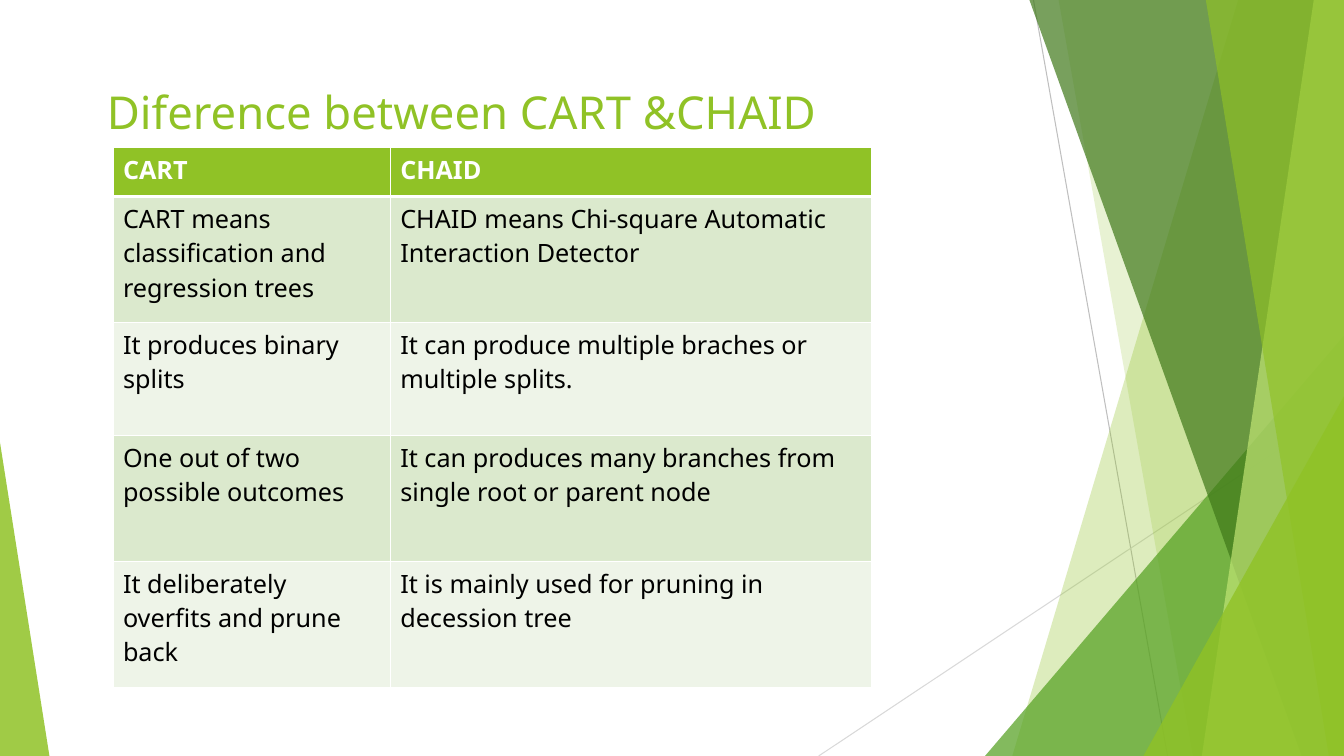
from typing import NamedTuple

from lxml import etree
from pptx import Presentation
from pptx.dml.color import RGBColor
from pptx.enum import shapes, text
from pptx.oxml import ns
from pptx.util import Inches, Pt

FONT = "Noto Sans"
WIDTH, HEIGHT = 13.33, 7.5
COLORS = {
    "green": "90C226",
    "leaf": "54A021",
    "forest": "3F7819",
    "lime": "C0E474",
    "row_odd": "DBE9CD",
    "row_even": "EEF4E8",
    "line_dark": "BFBFBF",
    "line_light": "D9D9D9",
    "white": "FFFFFF",
    "black": "000000",
}


class Ray(NamedTuple):
    """A thin line across the background."""
    x1: float
    y1: float
    x2: float
    y2: float
    color: str


class Band(NamedTuple):
    """A full-height area from a slanted left edge to the slide's right edge."""
    top_x: float
    bottom_x: float
    color: str
    opacity: int


class Corner(NamedTuple):
    """A right triangle standing on the bottom edge; apex 0 is left, 1 right."""
    left: float
    top: float
    width: float
    apex: float
    color: str
    opacity: int


RAYS = [
    Ray(10.25, 0, 11.58, HEIGHT, "line_dark"),
    Ray(WIDTH, 4.03, 8.12, HEIGHT, "line_light"),
]
FACETS = [
    Band(12.28, 10.04, "green", 30),
    Band(10.5, 11.83, "green", 20),
    Corner(9.77, 3.33, 3.56, 1, "leaf", 72),
    Band(10.21, 12.91, "forest", 70),
    Band(13.03, 11.92, "lime", 70),
    Band(11.96, 13.18, "green", 65),
    Corner(11.34, 3.93, 1.99, 1, "green", 80),
    Corner(0, 4.39, 0.49, 0, "green", 85),
]
COLUMN_WIDTHS = [2.75, 4.77]
ROW_HEIGHTS = [0.49, 1.25, 1.12, 1.25, 1.25]
ROWS = [
    ("CART", "CHAID"),
    ("CART means classification and regression trees",
     "CHAID means Chi-square Automatic Interaction Detector"),
    ("It produces binary splits",
     "It can produce multiple braches or multiple splits."),
    ("One out of two possible outcomes",
     "It can produces many branches from single root or parent node"),
    ("It deliberately overfits and prune back",
     "It is mainly used for pruning in decession tree"),
]


def rgb(name: str) -> RGBColor:
    """Look up a named colour."""
    return RGBColor.from_string(COLORS[name])


def format_paragraph(paragraph, size: float, color: str, bold: bool = False) -> None:
    """Set the font of a whole paragraph."""
    font = paragraph.font
    font.name, font.size, font.bold = FONT, Pt(size), bold
    font.color.rgb = rgb(color)


def draw_ray(slide, ray: Ray) -> None:
    """Draw a hairline without a shadow."""
    line = slide.shapes.add_connector(
        shapes.MSO_CONNECTOR.STRAIGHT, *(Inches(value) for value in ray[:4]))
    line.line.color.rgb = rgb(ray.color)
    line.line.width = Pt(0.75)
    etree.SubElement(line._element.spPr, ns.qn("a:effectLst"))


def draw_facet(slide, facet: Band | Corner) -> None:
    """Draw a translucent band or corner triangle."""
    if isinstance(facet, Band):
        builder = slide.shapes.build_freeform(Inches(facet.top_x), 0)
        corners = [(WIDTH, 0), (WIDTH, HEIGHT), (facet.bottom_x, HEIGHT)]
        builder.add_line_segments([(Inches(x), Inches(y)) for x, y in corners])
        shape = builder.convert_to_shape()
    else:
        shape = slide.shapes.add_shape(
            shapes.MSO_SHAPE.ISOSCELES_TRIANGLE, Inches(facet.left), Inches(facet.top),
            Inches(facet.width), Inches(HEIGHT - facet.top))
        shape.adjustments[0] = facet.apex
    shape.shadow.inherit = False
    shape.line.fill.background()
    shape.fill.solid()
    shape.fill.fore_color.rgb = rgb(facet.color)
    color = shape._element.spPr.find(ns.qn("a:solidFill"))[0]
    etree.SubElement(color, ns.qn("a:alpha"), val=str(facet.opacity * 1000))


def set_borders(cell, bottom: float) -> None:
    """Give a cell white borders, with its own bottom width in points."""
    properties = cell._tc.get_or_add_tcPr()
    for side, width in {"L": 1, "R": 1, "T": 1, "B": bottom}.items():
        border = etree.SubElement(properties, ns.qn(f"a:ln{side}"), w=str(Pt(width)))
        fill = etree.SubElement(border, ns.qn("a:solidFill"))
        etree.SubElement(fill, ns.qn("a:srgbClr"), val=COLORS["white"])


def add_title(slide, title: str) -> None:
    """Place and format the slide title."""
    shape = slide.shapes.title
    shape.left, shape.top = Inches(0.96), Inches(0.78)
    shape.width, shape.height = Inches(9.4), Inches(0.62)
    frame = shape.text_frame
    frame.text = title
    frame.word_wrap = True
    frame.auto_size = text.MSO_AUTO_SIZE.NONE
    frame.vertical_anchor = text.MSO_ANCHOR.TOP
    paragraph = frame.paragraphs[0]
    paragraph.alignment = text.PP_ALIGN.LEFT
    format_paragraph(paragraph, 32.4, "green")


def add_comparison(slide) -> None:
    """Add the table that compares both methods."""
    table = slide.shapes.add_table(
        len(ROWS), len(COLUMN_WIDTHS), Inches(1.12), Inches(1.46),
        Inches(sum(COLUMN_WIDTHS)), Inches(sum(ROW_HEIGHTS))).table
    for column, width in zip(table.columns, COLUMN_WIDTHS):
        column.width = Inches(width)
    for index, (row, height, wording) in enumerate(zip(table.rows, ROW_HEIGHTS, ROWS)):
        row.height = Inches(height)
        header = index == 0
        fill = "green" if header else "row_odd" if index % 2 else "row_even"
        for cell, words in zip(row.cells, wording):
            cell.text = words
            format_paragraph(cell.text_frame.paragraphs[0], 18,
                             "white" if header else "black", header)
            set_borders(cell, 3 if header else 1)
            cell.fill.solid()
            cell.fill.fore_color.rgb = rgb(fill)


presentation = Presentation()
presentation.slide_width = Inches(WIDTH)
presentation.slide_height = Inches(HEIGHT)
slide = presentation.slides.add_slide(presentation.slide_layouts[5])
for ray in RAYS:
    draw_ray(slide, ray)
for facet in FACETS:
    draw_facet(slide, facet)
add_title(slide, "Diference between CART &CHAID")
add_comparison(slide)
presentation.save("out.pptx")
